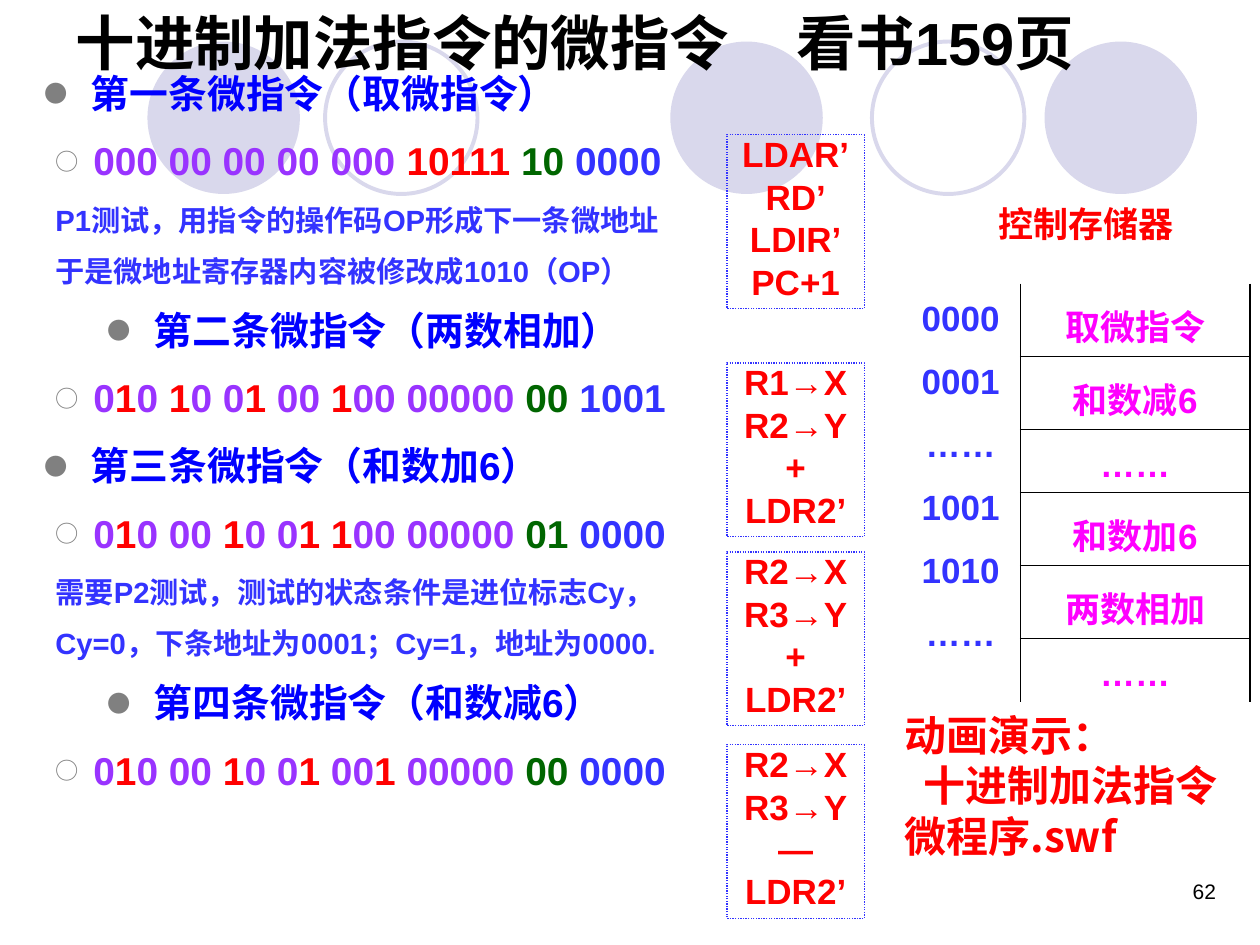
from itertools import groupby
from pptx import Presentation
from pptx import util as u
from pptx.dml.color import RGBColor
from pptx.enum import dml, shapes, text
from pptx.oxml.ns import qn
from lxml import etree

W, H = 10, 7.5
RED, BLUE, VIOLET, GREEN = "FF0000", "3333FF", "9933FF", "006600"
PINK, HEAD, PALE, BLACK = "FF00FF", "0000FF", "D9D8EC", "000000"
CJK = "Noto Sans CJK SC"
MID = text.PP_ALIGN.CENTER
# kind, content; the kinds are laid out in STYLE
LINES = [
    ("head", "第一条微指令（取微指令）"),
    ("bits", "000 00 00 00 000 10111 10 0000"),
    ("note", "P1测试，用指令的操作码OP形成下一条微地址"),
    ("note", "于是微地址寄存器内容被修改成1010（OP）"),
    ("inner", "第二条微指令（两数相加）"),
    ("bits", "010 10 01 00 100 00000 00 1001"),
    ("head", "第三条微指令（和数加6）"),
    ("bits", "010 00 10 01 100 00000 01 0000"),
    ("note", "需要P2测试，测试的状态条件是进位标志Cy，"),
    ("note", "Cy=0，下条地址为0001；Cy=1，地址为0000."),
    ("inner", "第四条微指令（和数减6）"),
    ("bits", "010 00 10 01 001 00000 00 0000"),
]
# left margin, indent, bullet, size, colour, gap above and below
STYLE = {
    "head": (0.47, -0.37, "●", 22.2, HEAD, 6),
    "inner": (0.97, -0.37, "●", 22.2, HEAD, 6),
    "bits": (0.49, -0.3, "○", 22.2, BLUE, 6),
    "note": (0.49, -0.3, None, 16.7, BLUE, 4.5),
}
STEPS = [
    (1.07, ["LDAR’", "RD’", "LDIR’", "PC+1"]),
    (2.88, ["R1→X", "R2→Y", "+", "LDR2’"]),
    (4.38, ["R2→X", "R3→Y", "+", "LDR2’"]),
    (5.91, ["R2→X", "R3→Y", "—", "LDR2’"]),
]


def rgb(code):
    return RGBColor.from_string(code)


def place(shape, x, y, w, h):
    shape.left, shape.top, shape.width, shape.height = map(u.Inches, (x, y, w, h))


def put(para, words, size=20, color=RED, bold=True, face="Arial", align=None,
        lead=None, above=None, below=None):
    """Append one formatted run to a paragraph."""
    run = para.add_run()
    run.text = words
    font = run.font
    font.size, font.bold, font.name = u.Pt(size), bold, face
    font.color.rgb = rgb(color)
    etree.SubElement(run._r.rPr, qn("a:ea"), typeface=CJK)
    if align is not None:
        para.alignment = align
    if lead:
        para.line_spacing = lead
    if above is not None:
        para.space_before = u.Pt(above)
    if below is not None:
        para.space_after = u.Pt(below)


def paras(frame, count):
    return [frame.paragraphs[0]] + [frame.add_paragraph() for _ in range(count - 1)]


def inset(para, left, first, mark=None):
    """Set the margin, first-line indent and bullet."""
    props = para._p.get_or_add_pPr()
    props.set("marL", str(u.Inches(left)))
    props.set("indent", str(u.Inches(first)))
    if not mark:
        etree.SubElement(props, qn("a:buNone"))
        return
    tint = etree.SubElement(props, qn("a:buClr"))
    etree.SubElement(tint, qn("a:srgbClr"), val="808080")
    etree.SubElement(props, qn("a:buSzPct"), val="60000")
    etree.SubElement(props, qn("a:buFont"), typeface=CJK)
    etree.SubElement(props, qn("a:buChar"), char=mark)


def shade(word):
    """Pair each bit of a microinstruction with its field's colour."""
    fields = word.split()
    for pos, field in enumerate(fields):
        for bit in field:
            tint = RED if bit == "1" else VIOLET
            if pos == 5:
                tint = RED if "1" in field else VIOLET
            elif pos > 5:
                tint = GREEN if pos == 6 else BLUE
            yield bit, tint
        if pos < len(fields) - 1:
            yield " ", tint


def title(slide):
    shape = slide.shapes.title
    place(shape, 0.5, -0.08, 9, 0.83)
    frame = shape.text_frame
    frame.vertical_anchor = text.MSO_ANCHOR.MIDDLE
    para = frame.paragraphs[0]
    stops = etree.SubElement(para._p.get_or_add_pPr(), qn("a:tabLst"))
    etree.SubElement(stops, qn("a:tab"), pos=str(u.Inches(5.72)), algn="l")
    put(para, "十进制加法指令的微指令\t看书159页", size=34, color=BLACK,
        align=text.PP_ALIGN.LEFT)


def body(slide):
    shape = slide.placeholders[1]
    place(shape, 0.15, 0.5, 6.02, 5.83)
    frame = shape.text_frame
    frame.auto_size = text.MSO_AUTO_SIZE.NONE
    for row, (para, (kind, words)) in enumerate(zip(paras(frame, len(LINES)), LINES)):
        left, first, mark, size, color, gap = STYLE[kind]
        inset(para, left, first, mark)
        if kind == "bits":
            parts = [("".join(bit for bit, _ in run), tint)
                     for tint, run in groupby(shade(words), lambda pair: pair[1])]
        else:
            parts = [(words, color)]
        for part, tint in parts:
            put(para, part, size=size, color=tint, lead=1.0,
                above=gap if row else 0, below=gap)


def circle(slide, x, solid):
    shape = slide.shapes.add_shape(shapes.MSO_SHAPE.OVAL, 0, 0, 0, 0)
    place(shape, x, 0.33, 1.21, 1.21)
    shape.shadow.inherit = False
    if solid:
        shape.fill.solid()
        shape.fill.fore_color.rgb = rgb(PALE)
        shape.line.fill.background()
    else:
        shape.fill.background()
        shape.line.color.rgb = rgb(PALE)
        shape.line.width = u.Pt(2.25)
    slide.shapes._spTree.insert(2, shape._element)  # behind the text


def step(slide, y, words):
    shape = slide.shapes.add_shape(shapes.MSO_SHAPE.RECTANGLE, 0, 0, 0, 0)
    place(shape, 5.77, y, 1.09, 1.38)
    shape.shadow.inherit = False
    shape.fill.background()
    shape.line.color.rgb = rgb(BLUE)
    shape.line.width = u.Pt(0.75)
    shape.line.dash_style = dml.MSO_LINE.ROUND_DOT
    frame = shape.text_frame
    frame.vertical_anchor = text.MSO_ANCHOR.TOP
    for row, (para, word) in enumerate(zip(paras(frame, len(words)), words)):
        put(para, word, align=MID, lead=0.8, above=5 if row else 0)


def label(slide, box, words, first=0, **look):
    """Add a text box; first indents every paragraph after the first."""
    shape = slide.shapes.add_textbox(*map(u.Inches, box))
    frame = shape.text_frame
    frame.word_wrap = True
    for row, (para, word) in enumerate(zip(paras(frame, len(words)), words)):
        if row and first:
            inset(para, 0, first)
        put(para, word, **look)


def edge(cell, side, width):
    line = etree.SubElement(cell._tc.get_or_add_tcPr(), qn("a:" + side),
                            w=str(u.Pt(width)))
    fill = etree.SubElement(line, qn("a:solidFill"))
    etree.SubElement(fill, qn("a:srgbClr"), val=BLACK)


def column(slide, x, wide, words, color, tall=0.5, ruled=False):
    """Add a one-column table; rows with words, not dots, are tall."""
    rows = len(words)
    highs = [0.5 if word == "……" else tall for word in words]
    frame = slide.shapes.add_table(rows, 1, *map(u.Inches, (x, 2.25, wide, sum(highs))))
    table = frame.table
    table.first_row = table.horz_banding = False
    frame._element.find(".//" + qn("a:tableStyleId")).text = \
        "{2D5ABB26-0587-4C30-8999-92F81FD0307C}"
    for row, (word, high) in enumerate(zip(words, highs)):
        table.rows[row].height = u.Inches(high)
        cell = table.cell(row, 0)
        cell.vertical_anchor = text.MSO_ANCHOR.MIDDLE
        if ruled:
            edge(cell, "lnL", 1.08)
            edge(cell, "lnR", 1.08)
            if row:
                edge(cell, "lnT", 0.45)
            if row < rows - 1:
                edge(cell, "lnB", 0.45)
        cell.fill.background()
        put(cell.text_frame.paragraphs[0], word, color=color, align=MID,
            lead=1.2, above=0, below=2.5)


def main():
    deck = Presentation()
    deck.slide_width, deck.slide_height = u.Inches(W), u.Inches(H)
    slide = deck.slides.add_slide(deck.slide_layouts[1])
    for x, solid in [(5.32, 1), (8.29, 1), (1.17, 1), (6.92, 0), (2.58, 0)]:
        circle(slide, x, solid)
    label(slide, (7.42, 6.92, 2.33, 0.5), ["62"], size=12, color=BLACK, bold=False,
          align=text.PP_ALIGN.RIGHT)
    title(slide)
    body(slide)
    column(slide, 8.1, 1.82, ["取微指令", "和数减6", "……", "和数加6", "两数相加", "……"],
           PINK, tall=0.58, ruled=True)
    column(slide, 7.08, 1.09, ["0000", "0001", "……", "1001", "1010", "……"], BLUE)
    label(slide, (7.45, 1.62, 2.34, 0.37), ["控制存储器"], face=CJK, align=MID, lead=0.8)
    for y, words in STEPS:
        step(slide, y, words)
    label(slide, (7.08, 5.58, 2.75, 1.3), ["动画演示：", "十进制加法指令微程序.swf"],
          first=0.15, size=24, face=CJK)
    deck.save("out.pptx")


if __name__ == "__main__":
    main()
